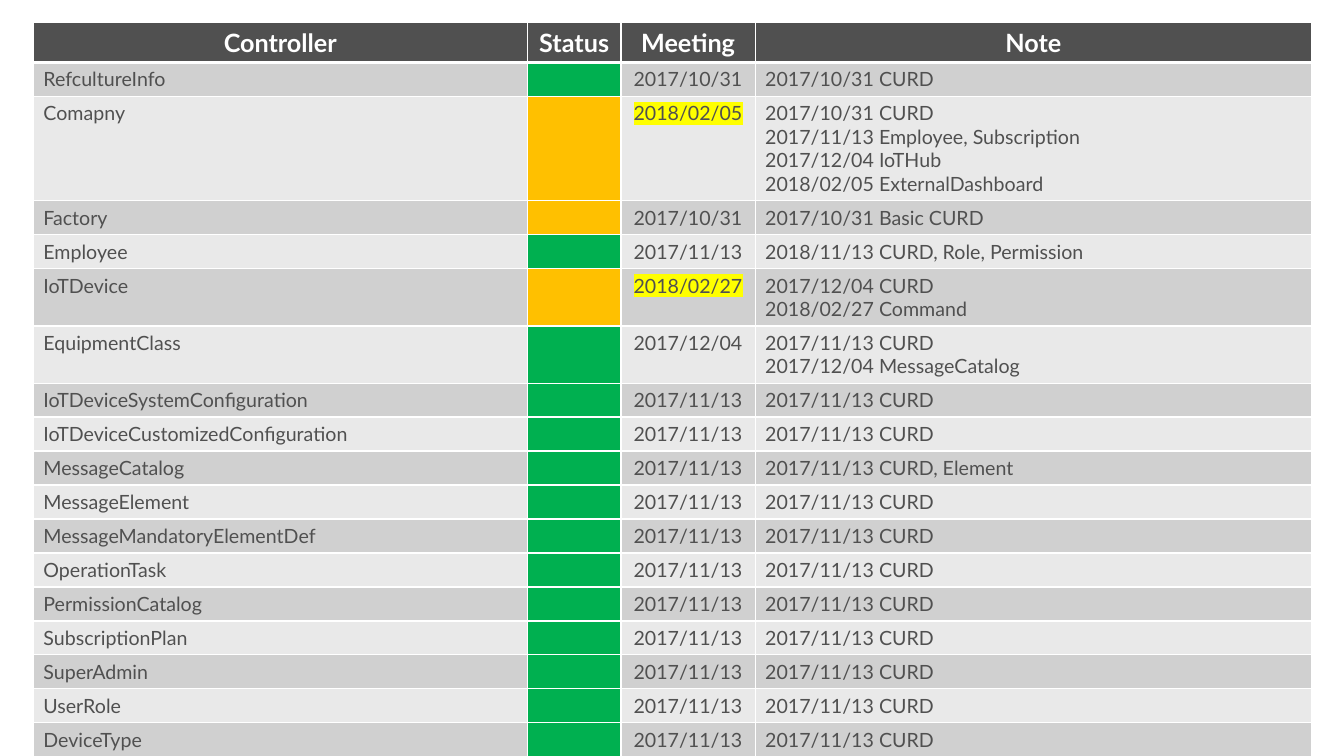
"""Build the controller status slide as one banded table."""
from dataclasses import dataclass

from lxml import etree
from pptx import Presentation
from pptx import util as u
from pptx.dml.color import RGBColor
from pptx.enum import text
from pptx.oxml import ns
from pptx.table import Table, _Cell

WHITE = RGBColor(0xFF, 0xFF, 0xFF)
CHARCOAL = RGBColor(0x50, 0x50, 0x50)
DARK_BAND = RGBColor(0xD0, 0xD0, 0xD0)
LIGHT_BAND = RGBColor(0xE9, 0xE9, 0xE9)
GREEN = RGBColor(0x00, 0xB0, 0x50)
AMBER = RGBColor(0xFF, 0xC0, 0x00)
YELLOW = RGBColor(0xFF, 0xFF, 0x00)

FONT = "Lato"
HEADINGS = ("Controller", "Status", "Meeting", "Note")
COLUMN_WIDTHS = (12.45, 2.36, 3.38, 14.02)
HEADER_HEIGHT = 0.97
ROW_HEIGHT = 0.81
LEFT = text.PP_ALIGN.LEFT
CENTER = text.PP_ALIGN.CENTER


@dataclass(frozen=True)
class Controller:
    name: str
    meeting: str = "2017/11/13"
    note: str = "2017/11/13 CURD"
    status: RGBColor = GREEN
    highlight: RGBColor | None = None


CONTROLLERS = (
    Controller("RefcultureInfo", "2017/10/31", "2017/10/31 CURD"),
    Controller(
        "Comapny",
        "2018/02/05",
        "2017/10/31 CURD\v2017/11/13 Employee, Subscription\v"
        "2017/12/04 IoTHub\v2018/02/05 ExternalDashboard",
        AMBER,
        YELLOW,
    ),
    Controller("Factory", "2017/10/31", "2017/10/31 Basic CURD", AMBER),
    Controller("Employee", note="2018/11/13 CURD, Role, Permission"),
    Controller("IoTDevice", "2018/02/27", "2017/12/04 CURD\v2018/02/27 Command", AMBER, YELLOW),
    Controller("EquipmentClass", "2017/12/04", "2017/11/13 CURD\n2017/12/04 MessageCatalog"),
    Controller("IoTDeviceSystemConfiguration"),
    Controller("IoTDeviceCustomizedConfiguration"),
    Controller("MessageCatalog", note="2017/11/13 CURD, Element"),
    Controller("MessageElement"),
    Controller("MessageMandatoryElementDef"),
    Controller("OperationTask"),
    Controller("PermissionCatalog"),
    Controller("SubscriptionPlan"),
    Controller("SuperAdmin"),
    Controller("UserRole"),
    Controller("DeviceType"),
)


def add_solid_fill(parent: etree._Element, color: RGBColor) -> None:
    fill = etree.SubElement(parent, ns.qn("a:solidFill"))
    etree.SubElement(fill, ns.qn("a:srgbClr"), val=str(color))


def set_borders(cell: _Cell, *, top: float = 1, bottom: float = 1) -> None:
    properties = cell._tc.get_or_add_tcPr()
    widths = {"a:lnL": 1, "a:lnR": 1, "a:lnT": top, "a:lnB": bottom}
    for position, (tag, width) in enumerate(widths.items()):
        line = etree.Element(ns.qn(tag), w=str(u.Pt(width)))
        add_solid_fill(line, WHITE)
        properties.insert(position, line)


def write_text(
    cell: _Cell,
    content: str,
    *,
    size: int = 14,
    color: RGBColor = CHARCOAL,
    bold: bool = False,
    align: text.PP_ALIGN = LEFT,
    highlight: RGBColor | None = None,
) -> None:
    cell.text_frame.text = content
    size_value = str(size * 100)
    for paragraph in cell.text_frame.paragraphs:
        paragraph.alignment = align
        for line_break in paragraph._p.findall(ns.qn("a:br")):
            etree.SubElement(line_break, ns.qn("a:rPr"), sz=size_value)
        for run in paragraph.runs:
            run.font.size = u.Pt(size)
            run.font.bold = bold
            run.font.color.rgb = color
            if highlight is not None:
                marker = etree.SubElement(run.font._element, ns.qn("a:highlight"))
                etree.SubElement(marker, ns.qn("a:srgbClr"), val=str(highlight))
            run.font.name = FONT
        if not paragraph.runs:
            etree.SubElement(paragraph._p, ns.qn("a:endParaRPr"), sz=size_value)


def fill_cell(cell: _Cell, color: RGBColor) -> None:
    cell.fill.solid()
    cell.fill.fore_color.rgb = color


def draw_header(table: Table) -> None:
    table.rows[0].height = u.Cm(HEADER_HEIGHT)
    for cell, heading in zip(table.rows[0].cells, HEADINGS):
        write_text(cell, heading, size=18, color=WHITE, bold=True, align=CENTER)
        fill_cell(cell, CHARCOAL)
        set_borders(cell, bottom=3)


def draw_controller(table: Table, index: int, controller: Controller) -> None:
    name, status, meeting, note = table.rows[index].cells
    band = DARK_BAND if index % 2 else LIGHT_BAND
    write_text(name, controller.name)
    write_text(status, "")
    write_text(meeting, controller.meeting, align=CENTER, highlight=controller.highlight)
    write_text(note, controller.note)
    for cell in (name, status, meeting, note):
        fill_cell(cell, band)
        set_borders(cell, top=3 if index == 1 else 1)
    fill_cell(status, controller.status)


def main() -> None:
    presentation = Presentation()
    presentation.slide_width = u.Cm(33.87)
    presentation.slide_height = u.Cm(19.05)
    slide = presentation.slides.add_slide(presentation.slide_layouts[6])
    row_count = len(CONTROLLERS) + 1
    table = slide.shapes.add_table(
        row_count,
        len(HEADINGS),
        u.Cm(0.84),
        u.Cm(0.56),
        u.Cm(sum(COLUMN_WIDTHS)),
        u.Cm(ROW_HEIGHT * row_count),
    ).table
    for column, width in zip(table.columns, COLUMN_WIDTHS):
        column.width = u.Cm(width)
    draw_header(table)
    for index, controller in enumerate(CONTROLLERS, start=1):
        table.rows[index].height = u.Cm(ROW_HEIGHT)
        draw_controller(table, index, controller)
    presentation.save("out.pptx")


if __name__ == "__main__":
    main()
